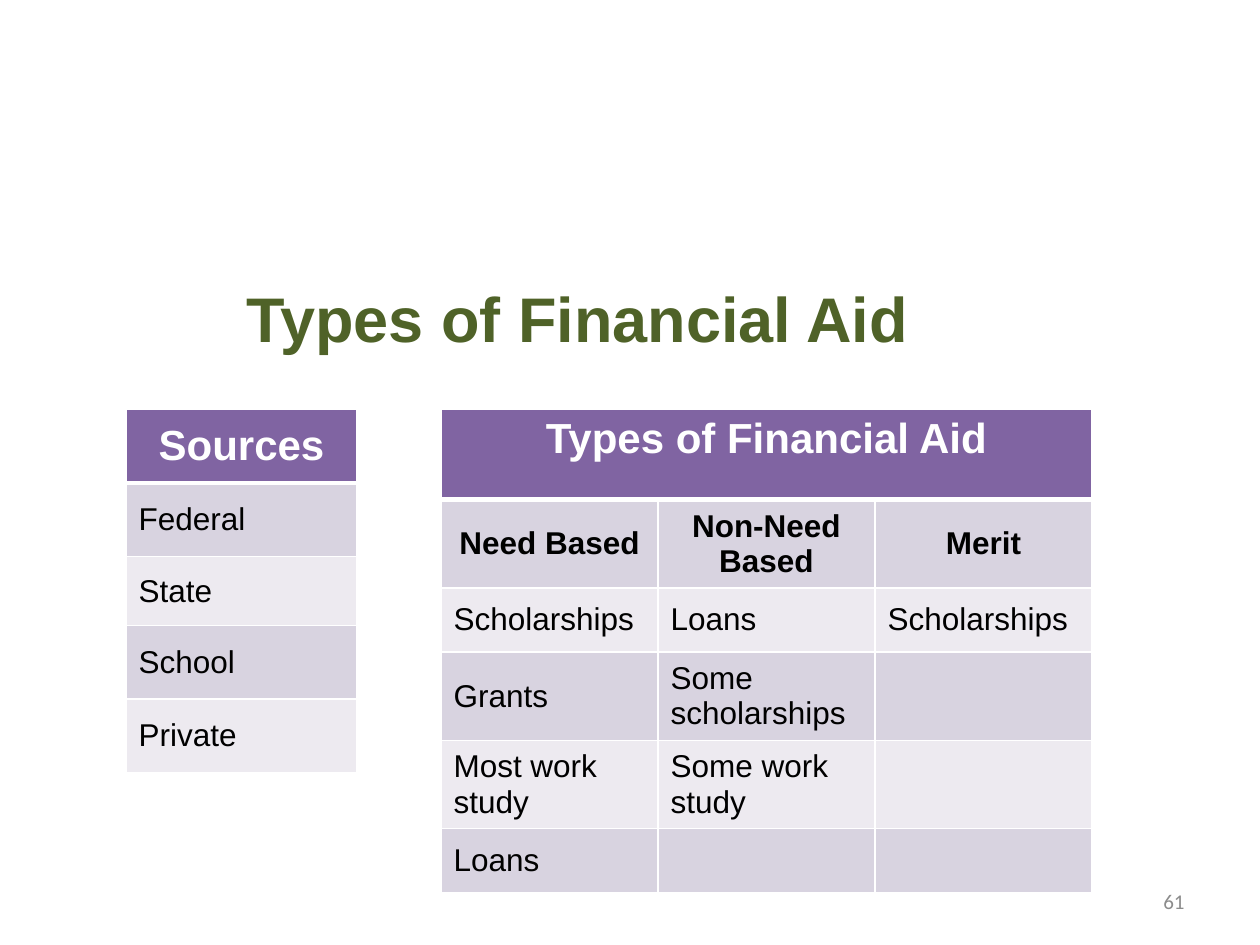
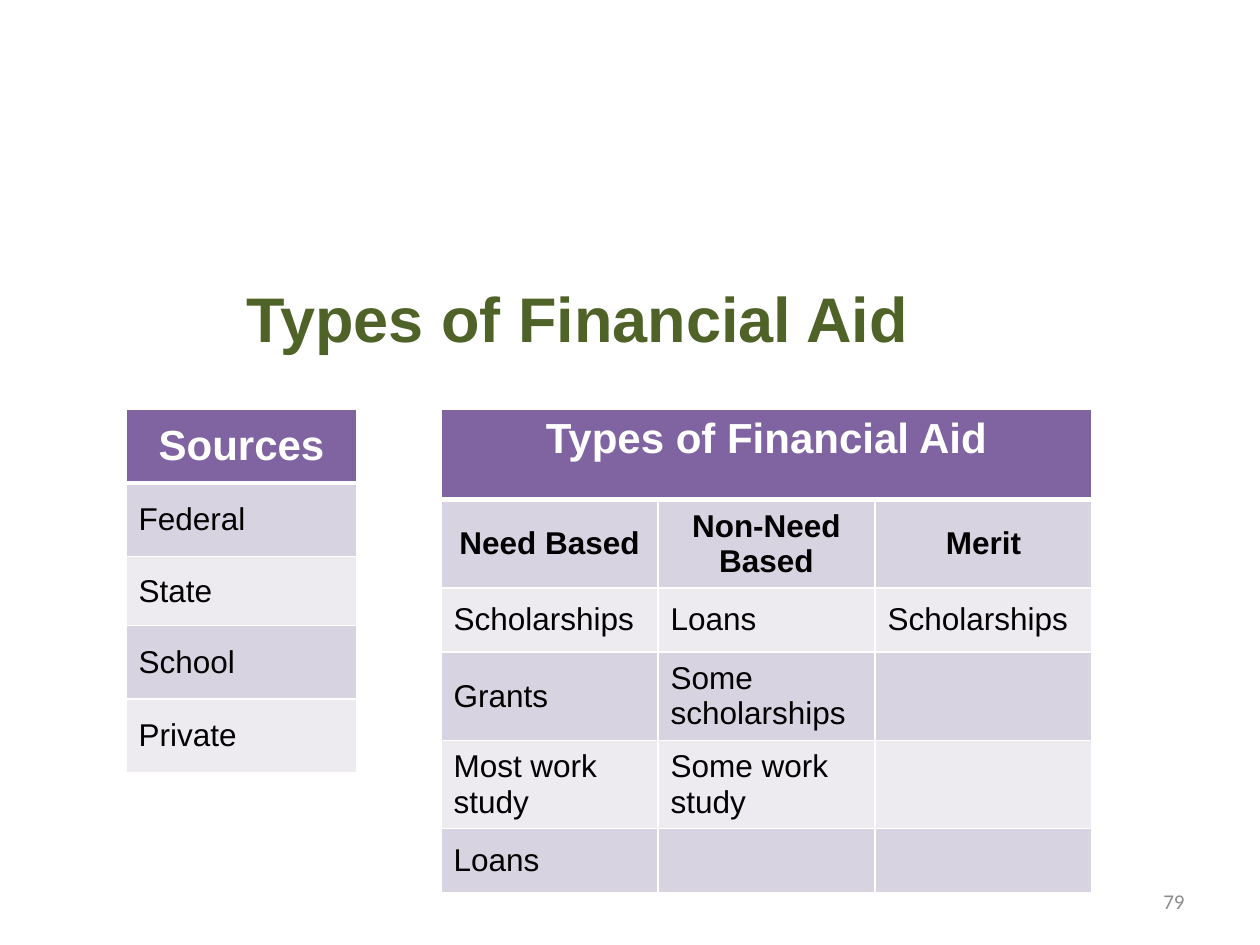
from dataclasses import dataclass

from lxml import etree
from pptx import Presentation
from pptx import util as u
from pptx.dml.color import RGBColor
from pptx.enum import text
from pptx.oxml import ns

GRID = u.Inches(1) // 6  # the slide is 60 columns by 45 rows
LEFT, CENTER, RIGHT = text.PP_ALIGN.LEFT, text.PP_ALIGN.CENTER, text.PP_ALIGN.RIGHT
TOP, MIDDLE = text.MSO_ANCHOR.TOP, text.MSO_ANCHOR.MIDDLE


@dataclass(frozen=True)
class TextStyle:
    size: int
    color: str
    bold: bool = False
    align: text.PP_ALIGN = LEFT
    font: str = "Arial"


@dataclass(frozen=True)
class Theme:
    title: TextStyle = TextStyle(36, "4F6228", True, CENTER)
    header: TextStyle = TextStyle(24, "FFFFFF", True, CENTER)
    subheader: TextStyle = TextStyle(18, "000000", True, CENTER)
    body: TextStyle = TextStyle(18, "000000")
    page_number: TextStyle = TextStyle(12, "8C8C8C", False, RIGHT, "Calibri")
    header_fill: str = "8064A2"
    bands: tuple[str, str] = ("D8D3E0", "EDEAF0")
    rule: str = "FFFFFF"
    thin: float = 1
    thick: float = 3


THEME = Theme()


@dataclass(frozen=True)
class Box:
    """A place on the grid, in columns and rows."""
    col: float
    row: float
    cols: float
    rows: float

    def emu(self) -> tuple[int, ...]:
        return tuple(round(n * GRID) for n in (self.col, self.row, self.cols, self.rows))


@dataclass(frozen=True)
class AidTable:
    box: Box
    heading: str
    entries: tuple[tuple[str, ...], ...]
    row_heights: tuple[float, ...]
    heading_anchor: text.MSO_ANCHOR = MIDDLE
    has_subheader: bool = False


TITLE = "Types of Financial Aid"
TITLE_BOX = Box(11, 13, 33, 4.25)
NUMBER_BOX = Box(43, 41.7, 14, 2.4)
PAGE_NUMBERS = ("61", "79")

SOURCES = AidTable(
    Box(6, 19.5, 11, 17.5), "Sources",
    (("Federal",), ("State",), ("School",), ("Private",)),
    (3.5, 3.5, 3.3, 3.5, 3.5),
)
AID_TYPES = AidTable(
    Box(21, 19.5, 31, 22.5), TITLE,
    (
        ("Need Based", "Non-Need Based", "Merit"),
        ("Scholarships", "Loans", "Scholarships"),
        ("Grants", "Some scholarships", ""),
        ("Most work study", "Some work study", ""),
        ("Loans", "", ""),
    ),
    (4.3, 4, 3.05, 4, 4, 3.05),
    heading_anchor=TOP,
    has_subheader=True,
)


def write(frame, words: str, style: TextStyle) -> None:
    paragraph = frame.paragraphs[0]
    paragraph.alignment = style.align
    run = paragraph.add_run()
    run.text = words
    run.font.name = style.font
    run.font.size = u.Pt(style.size)
    run.font.bold = style.bold
    run.font.color.rgb = RGBColor.from_string(style.color)


def rule_cell(cell, row: int) -> None:
    """Draw the cell's borders, with a thick rule below the heading row."""
    widths = {
        "L": THEME.thin,
        "R": THEME.thin,
        "T": THEME.thick if row == 1 else THEME.thin,
        "B": THEME.thick if row == 0 else THEME.thin,
    }
    properties = cell._tc.get_or_add_tcPr()
    for side, width in widths.items():
        line = etree.SubElement(properties, ns.qn(f"a:ln{side}"), w=str(u.Pt(width)))
        fill = etree.SubElement(line, ns.qn("a:solidFill"))
        etree.SubElement(fill, ns.qn("a:srgbClr"), val=THEME.rule)


def style_for(aid: AidTable, row: int) -> TextStyle:
    if row == 0:
        return THEME.header
    return THEME.subheader if aid.has_subheader and row == 1 else THEME.body


def draw_table(slide, aid: AidTable) -> None:
    column_count = len(aid.entries[0])
    heading = (aid.heading,) + ("",) * (column_count - 1)
    rows = (heading, *aid.entries)
    table = slide.shapes.add_table(len(rows), column_count, *aid.box.emu()).table
    for row, (entries, height) in enumerate(zip(rows, aid.row_heights)):
        table.rows[row].height = round(height * GRID)
        band = THEME.header_fill if row == 0 else THEME.bands[(row - 1) % 2]
        for column, words in enumerate(entries):
            cell = table.cell(row, column)
            rule_cell(cell, row)
            cell.fill.solid()
            cell.fill.fore_color.rgb = RGBColor.from_string(band)
            cell.vertical_anchor = aid.heading_anchor if row == 0 else MIDDLE
            if words:
                write(cell.text_frame, words, style_for(aid, row))
    if column_count > 1:
        table.cell(0, 0).merge(table.cell(0, column_count - 1))


def draw_title(slide) -> None:
    title = slide.shapes.title
    title.left, title.top, title.width, title.height = TITLE_BOX.emu()
    frame = title.text_frame
    frame.word_wrap = False
    frame.auto_size = text.MSO_AUTO_SIZE.SHAPE_TO_FIT_TEXT
    frame.vertical_anchor = TOP
    write(frame, TITLE, THEME.title)


def draw_page_number(slide, number: str) -> None:
    frame = slide.shapes.add_textbox(*NUMBER_BOX.emu()).text_frame
    frame.word_wrap = True
    frame.vertical_anchor = MIDDLE
    write(frame, number, THEME.page_number)


def main() -> None:
    deck = Presentation()
    deck.slide_width, deck.slide_height = 60 * GRID, 45 * GRID
    title_only = deck.slide_layouts[5]
    for number in PAGE_NUMBERS:
        slide = deck.slides.add_slide(title_only)
        draw_title(slide)
        for aid in (SOURCES, AID_TYPES):
            draw_table(slide, aid)
        draw_page_number(slide, number)
    deck.save("out.pptx")


if __name__ == "__main__":
    main()
